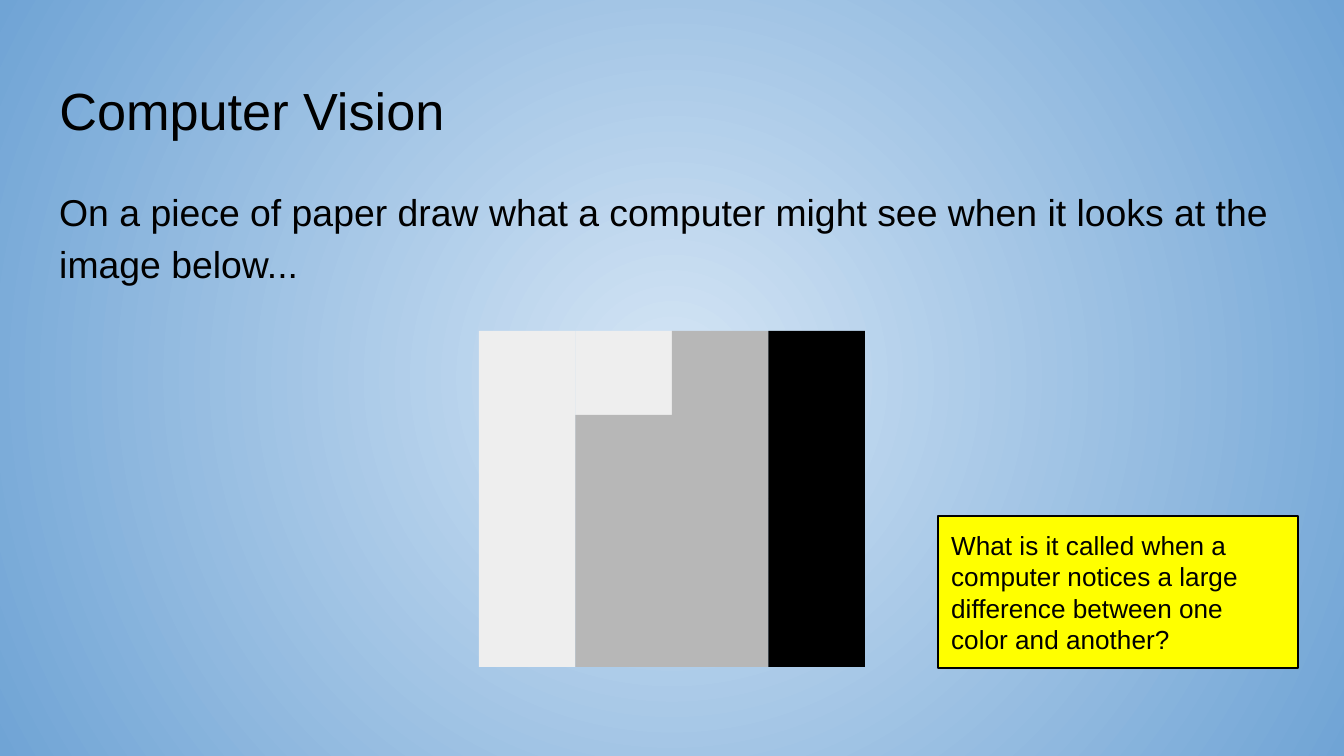
from lxml import etree
from pptx import Presentation
from pptx.dml.color import RGBColor
from pptx.enum.shapes import MSO_SHAPE
from pptx.enum.text import MSO_ANCHOR, MSO_AUTO_SIZE, PP_ALIGN
from pptx.oxml.ns import qn
from pptx.util import Emu, Inches, Pt

RECTANGLE = MSO_SHAPE.RECTANGLE
TOP, MIDDLE = MSO_ANCHOR.TOP, MSO_ANCHOR.MIDDLE
LEFT = PP_ALIGN.LEFT
NO_AUTO_SIZE = MSO_AUTO_SIZE.NONE
EMU_PER_PX = 914400 / 134.4
TITLE_ONLY = 5
FONT = "Arial"
COLORS = {
    "glow": "D4E5F5",
    "edge": "70A4D5",
    "text": "000000",
    "light": "EEEEEE",
    "gray": "B7B7B7",
    "black": "000000",
    "callout": "FFFF00",
}
PIXEL_ROWS = [["light", "light", "gray", "black"]] + [["light", "gray", "gray", "black"]] * 3


def px(length):
    """Turn pixels into EMU."""
    return Emu(round(length * EMU_PER_PX))


def color(name):
    """Look up a named colour."""
    return RGBColor.from_string(COLORS[name])


def write_text(shape, text, size, anchor=TOP):
    """Write one left-aligned paragraph and return it."""
    frame = shape.text_frame
    frame.word_wrap = True
    frame.auto_size = NO_AUTO_SIZE
    frame.vertical_anchor = anchor
    frame.margin_left = frame.margin_right = Inches(0.1)
    frame.margin_top = frame.margin_bottom = Inches(0.1)
    paragraph = frame.paragraphs[0]
    paragraph.alignment = LEFT
    run = paragraph.add_run()
    run.text = text
    run.font.name = FONT
    run.font.size = Pt(size)
    run.font.color.rgb = color("text")
    return paragraph


def add_rectangle(slide, box, fill_name):
    """Add a flat rectangle without a line."""
    shape = slide.shapes.add_shape(RECTANGLE, *map(px, box))
    shape.shadow.inherit = False
    shape.fill.solid()
    shape.fill.fore_color.rgb = color(fill_name)
    shape.line.fill.background()
    return shape


def paint_background(slide):
    """Fill the background with a circular gradient."""
    fill = slide.background.fill
    fill.gradient()
    for stop, name in zip(fill.gradient_stops, ("glow", "edge")):
        stop.color.rgb = color(name)
    gradient = next(slide.element.iter(qn("a:gradFill")))
    gradient.remove(gradient.find(qn("a:lin")))
    circle = etree.SubElement(gradient, qn("a:path"), {"path": "circle"})
    etree.SubElement(circle, qn("a:fillToRect"), dict.fromkeys("ltrb", "50000"))


def place_title(slide, box, text):
    """Move and format the title placeholder."""
    title = slide.shapes.title
    title.left, title.top, title.width, title.height = map(px, box)
    paragraph = write_text(title, text, 28)
    paragraph.line_spacing = 1.0
    paragraph.space_before = Pt(0)


def add_prompt(slide, box, text):
    """Add the task description."""
    paragraph = write_text(slide.shapes.add_textbox(*map(px, box)), text, 20)
    paragraph.line_spacing = 1.15
    paragraph.space_after = Pt(16)


def add_pixel_grid(slide, box, rows):
    """Divide the box evenly into coloured cells."""
    left, top, width, height = box
    cell_width, cell_height = width / len(rows[0]), height / len(rows)
    for row, names in enumerate(rows):
        for column, name in enumerate(names):
            cell = (left + column * cell_width, top + row * cell_height, cell_width, cell_height)
            add_rectangle(slide, cell, name)


def add_callout(slide, box, text):
    """Add the outlined question box."""
    shape = add_rectangle(slide, box, "callout")
    shape.line.color.rgb = color("black")
    shape.line.width = Pt(1.5)
    write_text(shape, text, 14, MIDDLE)


def main():
    """Build and save the presentation."""
    presentation = Presentation()
    presentation.slide_width, presentation.slide_height = px(1344), px(756)
    slide = presentation.slides.add_slide(presentation.slide_layouts[TITLE_ONLY])
    paint_background(slide)
    place_title(slide, (46, 65, 1252, 85), "Computer Vision")
    add_prompt(
        slide,
        (46, 169, 1252, 121),
        "On a piece of paper draw what a computer might see when it looks at the image below...",
    )
    add_pixel_grid(slide, (479, 331, 386, 336), PIXEL_ROWS)
    add_callout(
        slide,
        (938, 516, 360, 152),
        "What is it called when a computer notices a large difference between one color and another?",
    )
    presentation.save("out.pptx")


if __name__ == "__main__":
    main()
